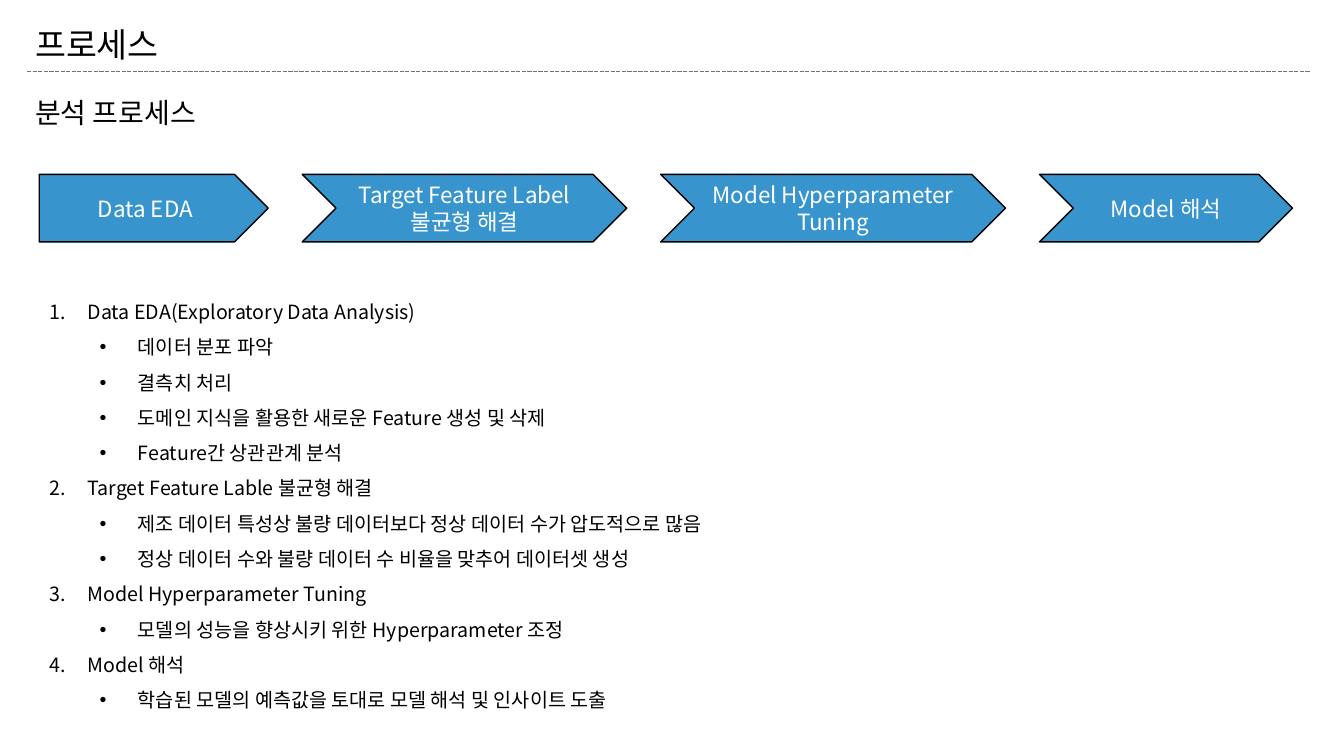
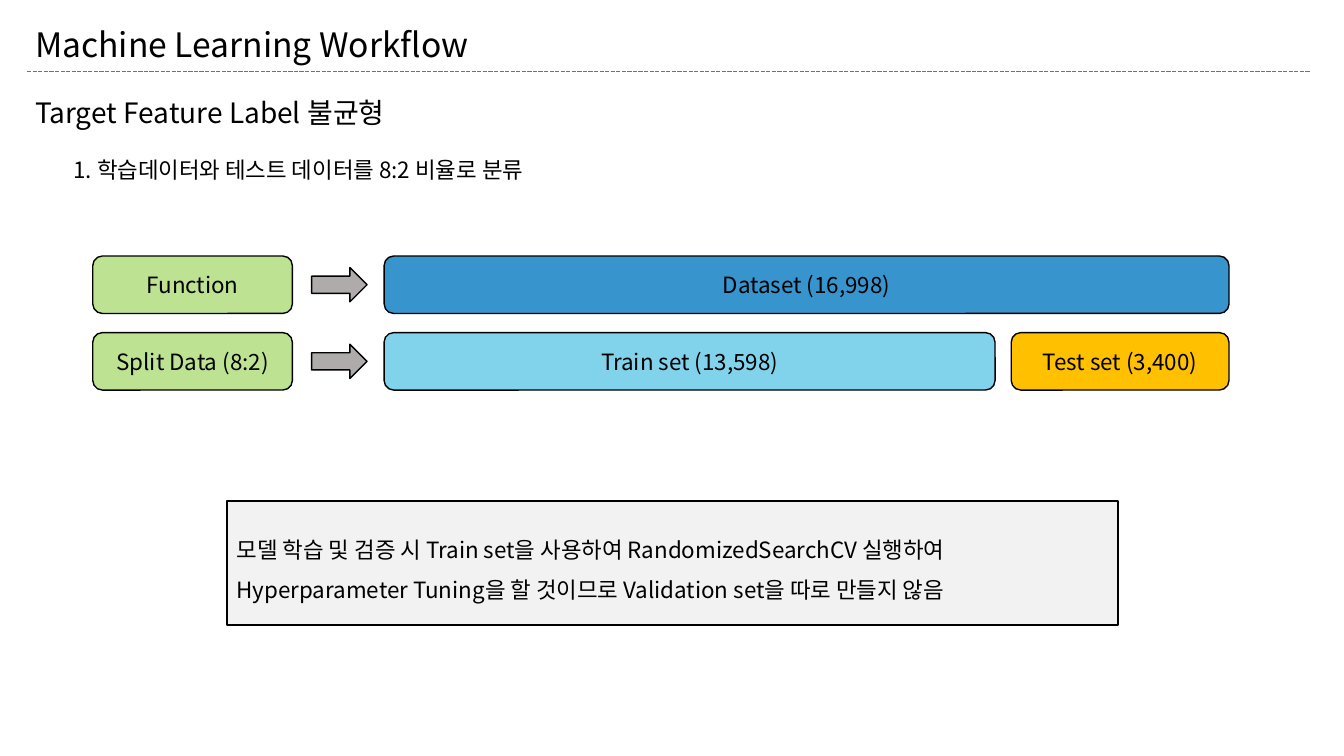
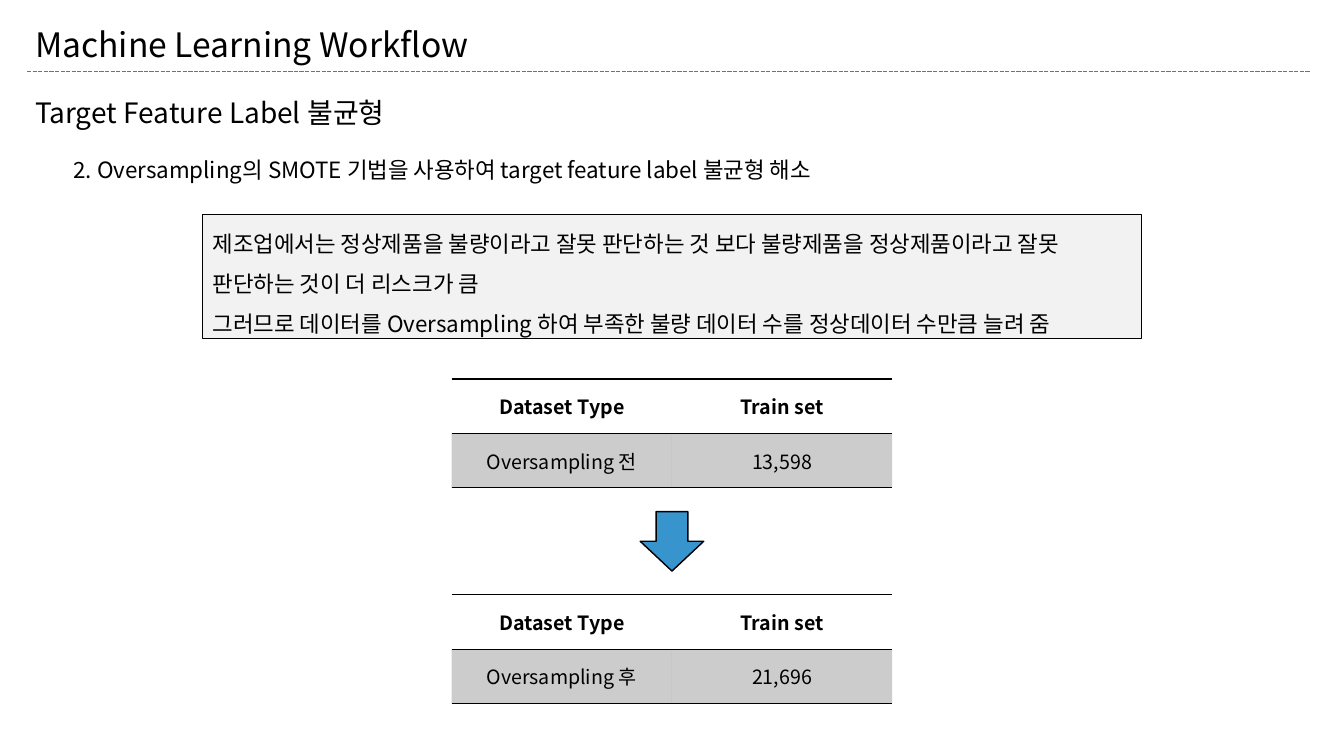
from lxml import etree
from pptx import Presentation
from pptx.dml.color import RGBColor
from pptx.enum.dml import MSO_LINE
from pptx.enum.shapes import MSO_CONNECTOR, MSO_SHAPE
from pptx.enum.text import MSO_ANCHOR, MSO_AUTO_SIZE, PP_ALIGN
from pptx.oxml.ns import qn
from pptx.util import Inches, Pt

STRAIGHT = MSO_CONNECTOR.STRAIGHT
DASH = MSO_LINE.SQUARE_DOT
PENTAGON, CHEVRON = MSO_SHAPE.PENTAGON, MSO_SHAPE.CHEVRON
ROUNDED, RECTANGLE = MSO_SHAPE.ROUNDED_RECTANGLE, MSO_SHAPE.RECTANGLE
RIGHT_ARROW, DOWN_ARROW = MSO_SHAPE.RIGHT_ARROW, MSO_SHAPE.DOWN_ARROW
LEFT, CENTER = PP_ALIGN.LEFT, PP_ALIGN.CENTER
MIDDLE, GROW = MSO_ANCHOR.MIDDLE, MSO_AUTO_SIZE.SHAPE_TO_FIT_TEXT

FONT = "Noto Sans CJK JP"
PLAIN_TABLE = "{2D5ABB26-0587-4C30-8999-92F81FD0307C}"
COLORS = {
    "black": "000000", "white": "FFFFFF", "rule": "767171", "blue": "3794CD",
    "sky": "81D2EB", "amber": "FFC000", "green": "BCE292", "gray": "AFABAB",
    "note": "F2F2F2",
}

PROCESS = ("프로세스", 1.59, "분석 프로세스", 4.29)
WORKFLOW = ("Machine Learning Workflow", 4.52, "Target Feature Label 불균형", 5.1)

STEPS = [
    ("Data EDA", 2.27),
    ("Target Feature Label\n불균형 해결", 3.22),
    ("Model Hyperparameter Tuning", 3.42),
    ("Model 해석", 2.51),
]
OUTLINE = [
    ("Data EDA(Exploratory Data Analysis)", [
        "데이터 분포 파악",
        "결측치 처리",
        "도메인 지식을 활용한 새로운 Feature 생성 및 삭제",
        "Feature간 상관관계 분석",
    ]),
    ("Target Feature Lable 불균형 해결", [
        "제조 데이터 특성상 불량 데이터보다 정상 데이터 수가 압도적으로 많음",
        "정상 데이터 수와 불량 데이터 수 비율을 맞추어 데이터셋 생성",
    ]),
    ("Model Hyperparameter Tuning", ["모델의 성능을 향상시키 위한 Hyperparameter 조정"]),
    ("Model 해석", ["학습된 모델의 예측값을 토대로 모델 해석 및 인사이트 도출"]),
]
SPLIT_HEADING = "1. 학습데이터와 테스트 데이터를 8:2 비율로 분류"
SPLIT_ROWS = [
    ("Function", [("Dataset (16,998)", 8.38, "blue")]),
    ("Split Data (8:2)", [("Train set (13,598)", 6.06, "sky"),
                          ("Test set (3,400)", 2.16, "amber")]),
]
SPLIT_NOTE = ("모델 학습 및 검증 시 Train set을 사용하여 RandomizedSearchCV 실행하여 "
              "Hyperparameter Tuning을 할 것이므로 Validation set을 따로 만들지 않음")
SMOTE_HEADING = "2. Oversampling의 SMOTE 기법을 사용하여 target feature label 불균형 해소"
SMOTE_NOTE = ("제조업에서는 정상제품을 불량이라고 잘못 판단하는 것 보다 불량제품을 "
              "정상제품이라고 잘못 판단하는 것이 더 리스크가 큼\n"
              "그러므로 데이터를 Oversampling 하여 부족한 불량 데이터 수를 정상데이터 수만큼 늘려 줌")
TABLE_HEADER = ("Dataset Type", "Train set")
SAMPLING = [("Oversampling 전", "13,598"), ("Oversampling 후", "21,696")]


def rgb(name):
    return RGBColor.from_string(COLORS[name])


def box(*lengths):
    return [Inches(length) for length in lengths]


def write(frame, text, size, color="black", align=LEFT, spacing=None, bold=False):
    frame.word_wrap = True
    for index, line in enumerate(text.split("\n")):
        paragraph = frame.paragraphs[0] if index == 0 else frame.add_paragraph()
        paragraph.alignment = align
        paragraph.line_spacing = spacing
        run = paragraph.add_run()
        run.text = line
        for key, value in {"size": Pt(size), "name": FONT, "bold": bold}.items():
            setattr(run.font, key, value)
        run.font.color.rgb = rgb(color)
        latin = run.font._element.find(qn("a:latin"))
        east_asian = etree.Element(qn("a:ea"), typeface=FONT)
        latin.addnext(east_asian)


def add_text(slide, at, text, size, **style):
    frame = slide.shapes.add_textbox(*box(*at)).text_frame
    write(frame, text, size, **style)
    frame.auto_size = GROW
    return frame


def add_block(slide, kind, at, fill, text="", **style):
    block = slide.shapes.add_shape(kind, *box(*at))
    block.shadow.inherit = False
    block.fill.solid()
    block.fill.fore_color.rgb = rgb(fill)
    block.line.color.rgb = rgb("black")
    block.line.width = Pt(1)
    if text:
        block.text_frame.vertical_anchor = MIDDLE
        write(block.text_frame, text, 16, **style)


def add_page(deck, title, title_width, subtitle, subtitle_width, heading=None):
    slide = deck.slides.add_slide(deck.slide_layouts[6])
    add_text(slide, (0.25, 0.19, title_width, 0.5), title, 24)
    rule = slide.shapes.add_connector(STRAIGHT, *box(0.27, 0.71, 12.99, 0.71))
    rule.line.color.rgb = rgb("rule")
    rule.line.width = Pt(1)
    rule.line.dash_style = DASH
    etree.SubElement(rule._element.spPr, qn("a:effectLst"))
    add_text(slide, (0.25, 0.9, subtitle_width, 0.44), subtitle, 20)
    if heading:
        add_text(slide, (0.63, 1.5, 8.92, 0.37), heading, 16)
    return slide


def add_outline(slide):
    entries = []
    for topic, details in OUTLINE:
        entries.append((topic, 0))
        entries += [(detail, 1) for detail in details]
    frame = add_text(slide, (0.39, 2.81, 11.94, 4.31),
                     "\n".join(text for text, level in entries), 14, spacing=1.5)
    for paragraph, (text, level) in zip(frame.paragraphs, entries):
        paragraph.level = level
        props = paragraph._p.get_or_add_pPr()
        props.set("marL", str(Inches(0.38 + 0.5 * level)))
        props.set("indent", str(Inches(-0.38)))
        if level:
            etree.SubElement(props, qn("a:buFont"), typeface="Arial")
            etree.SubElement(props, qn("a:buChar"), char="•")
        else:
            etree.SubElement(props, qn("a:buFont"), typeface=FONT)
            etree.SubElement(props, qn("a:buAutoNum"), type="arabicPeriod")


def add_border(cell, side):
    line = etree.SubElement(cell._tc.get_or_add_tcPr(), qn(f"a:{side}"), w=str(Pt(1)))
    fill = etree.SubElement(line, qn("a:solidFill"))
    etree.SubElement(fill, qn("a:srgbClr"), val=COLORS["black"])


def add_sampling_table(slide, at, record):
    table = slide.shapes.add_table(2, 2, *box(*at)).table
    table.horz_banding = False
    table._tbl.tblPr.find(qn("a:tableStyleId")).text = PLAIN_TABLE
    for row, values in enumerate((TABLE_HEADER, record)):
        for column, value in enumerate(values):
            cell = table.cell(row, column)
            cell.vertical_anchor = MIDDLE
            write(cell.text_frame, value, 14, align=CENTER, bold=row == 0)
            for side in ("lnT", "lnB"):
                add_border(cell, side)
            if row == 0:
                cell.fill.background()
            else:
                cell.fill.solid()
                cell.fill.fore_color.rgb = rgb("black")
                shade = cell._tc.tcPr.find(qn("a:solidFill"))[0]
                etree.SubElement(shade, qn("a:alpha"), val="20000")


def build_process(deck):
    slide = add_page(deck, *PROCESS)
    left, right = 0.39, 12.82
    gap = (right - left - sum(width for text, width in STEPS)) / (len(STEPS) - 1)
    for index, (text, width) in enumerate(STEPS):
        add_block(slide, CHEVRON if index else PENTAGON, (left, 1.73, width, 0.67),
                  "blue", text, color="white", align=CENTER)
        left += width + gap
    add_outline(slide)


def build_split(deck):
    slide = add_page(deck, *WORKFLOW, SPLIT_HEADING)
    height, arrow_height = 0.57, 0.34
    for index, (action, sets) in enumerate(SPLIT_ROWS):
        top = 2.54 + 0.76 * index
        add_block(slide, ROUNDED, (0.92, top, 1.98, height), "green", action, align=CENTER)
        arrow_top = top + (height - arrow_height) / 2
        add_block(slide, RIGHT_ARROW, (3.09, arrow_top, 0.55, arrow_height), "gray")
        left = 3.81
        for text, width, fill in sets:
            add_block(slide, ROUNDED, (left, top, width, height), fill, text, align=CENTER)
            left += width + 0.16
    add_block(slide, RECTANGLE, (2.25, 4.97, 8.84, 1.23), "note", SPLIT_NOTE, spacing=1.5)


def build_oversampling(deck):
    slide = add_page(deck, *WORKFLOW, SMOTE_HEADING)
    add_block(slide, RECTANGLE, (2.01, 2.13, 9.31, 1.23), "note", SMOTE_NOTE, spacing=1.5)
    left, width, height = 4.48, 4.37, 1.08
    tops = (3.76, 5.9)
    for top, record in zip(tops, SAMPLING):
        add_sampling_table(slide, (left, top, width, height), record)
    arrow_width, arrow_height = 0.63, 0.59
    arrow_top = (tops[0] + height + tops[1] - arrow_height) / 2
    add_block(slide, DOWN_ARROW, (left + (width - arrow_width) / 2, arrow_top,
                                  arrow_width, arrow_height), "blue")


def main():
    deck = Presentation()
    deck.slide_width, deck.slide_height = box(13.33, 7.5)
    for build in (build_process, build_split, build_oversampling):
        build(deck)
    deck.save("out.pptx")


if __name__ == "__main__":
    main()
